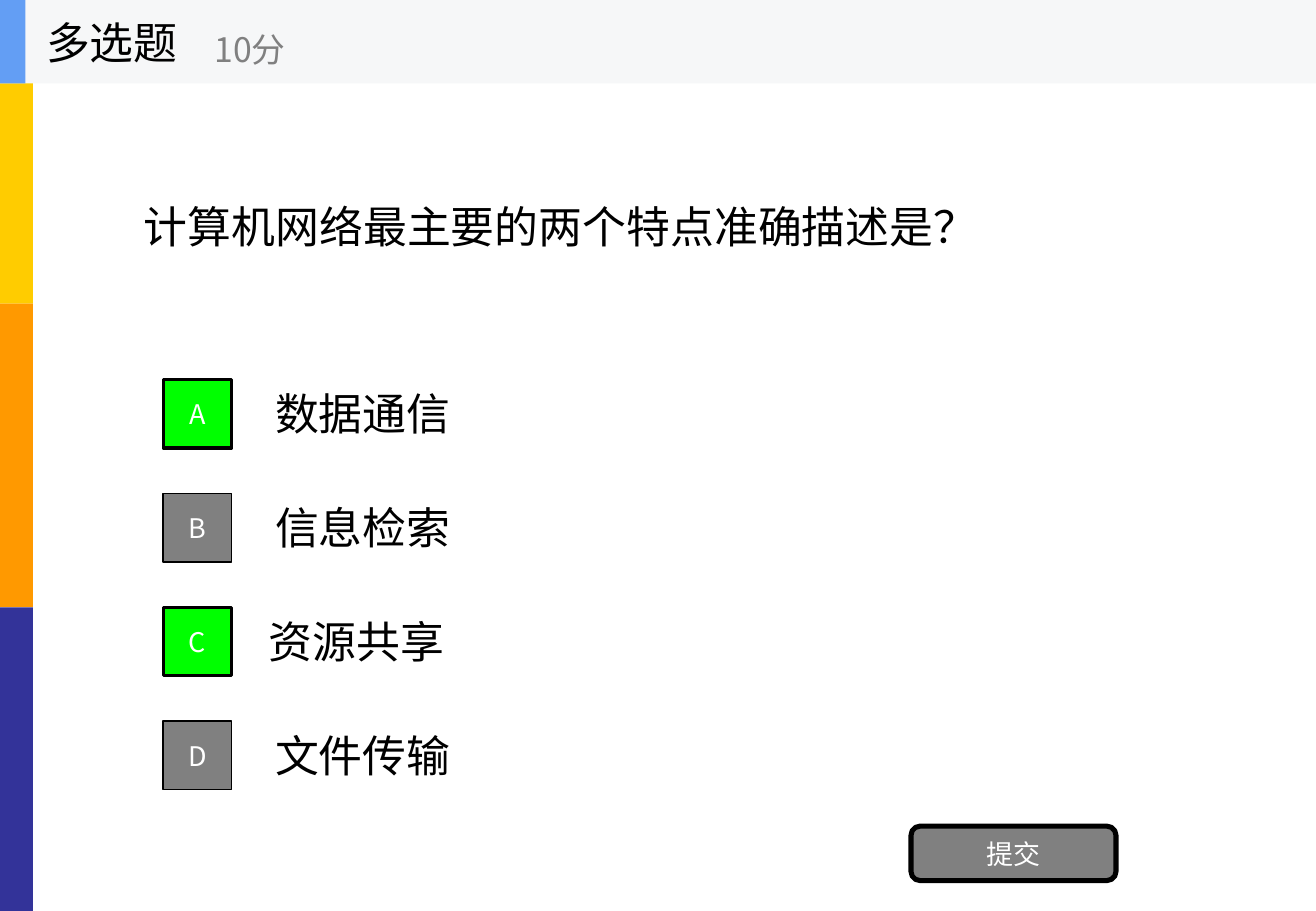
"""Build a multiple-choice question slide."""
from dataclasses import dataclass

from lxml import etree
from pptx import Presentation
from pptx import util as u
from pptx.dml.color import RGBColor
from pptx.enum import shapes, text
from pptx.oxml.ns import qn

PX = 9525
SIZE = (1040, 720)
OPTIONS = [
    ("A", "数据通信", True, 208),
    ("B", "信息检索", False, 208),
    ("C", "资源共享", True, 203),
    ("D", "文件传输", False, 208),
]


@dataclass(frozen=True)
class Theme:
    """Colours, typeface and type sizes of the slide."""
    font: str = "Noto Sans CJK SC"
    body: int = 26
    score: int = 20
    button: int = 16
    ink: str = "000000"
    paper: str = "FFFFFF"
    muted: str = "808080"
    correct: str = "00FF00"
    header: str = "F6F7F8"
    accent: str = "639EF4"
    strips: tuple = ("FFCC00", "FF9900", "333399")


THEME = Theme()


def emu(*lengths):
    """Turn px lengths into EMU."""
    return [u.Emu(length * PX) for length in lengths]


def write(holder, words, size=THEME.body, color=THEME.ink, align=text.PP_ALIGN.LEFT):
    """Put one formatted, vertically centred paragraph into a shape."""
    frame = holder.text_frame
    frame.word_wrap = True
    frame.auto_size = text.MSO_AUTO_SIZE.NONE
    frame.vertical_anchor = text.MSO_ANCHOR.MIDDLE
    paragraph = frame.paragraphs[0]
    paragraph.alignment = align
    run = paragraph.add_run()
    run.text = words
    run.font.size = u.Pt(size)
    run.font.color.rgb = RGBColor.from_string(color)
    run.font.name = THEME.font
    etree.SubElement(run.font._element, qn("a:ea"), typeface=THEME.font)


def add_label(parent, box, words, **style):
    """Add a text box."""
    write(parent.add_textbox(*emu(*box)), words, **style)


def add_block(parent, box, fill, line=0, kind=shapes.MSO_SHAPE.RECTANGLE):
    """Add a filled shape, outlined when a line width is given."""
    block = parent.add_shape(kind, *emu(*box))
    block.shadow.inherit = False
    block.fill.solid()
    block.fill.fore_color.rgb = RGBColor.from_string(fill)
    if line:
        block.line.color.rgb = RGBColor.from_string(THEME.ink)
        block.line.width = u.Pt(line)
    else:
        block.line.fill.background()
    return block


def add_button(parent, box, words, **look):
    """Add an outlined block with a centred caption."""
    write(add_block(parent, box, **look), words, size=THEME.button,
          color=THEME.paper, align=text.PP_ALIGN.CENTER)


def add_question(slide, words):
    """Place the question in the title placeholder."""
    question = slide.shapes.title
    question.left, question.top, question.width, question.height = emu(104, 66, 832, 225)
    write(question, words)


def add_option(parent, row, letter, answer, correct, left):
    """Add one answer with its letter badge."""
    top = 293 + 90 * row
    add_label(parent, (left, top, 728, 67), answer)
    add_button(parent, (129, top + 7, 54, 54), letter,
               fill=THEME.correct if correct else THEME.muted,
               line=2 if correct else 1)


def add_header(parent):
    """Add the grouped bar with question type and score."""
    header = parent.add_group_shape().shapes
    add_block(header, (0, 0, SIZE[0], 66), THEME.header)
    add_block(header, (0, 0, 20, 66), THEME.accent)
    add_label(header, (27, 0, 200, 66), "多选题")
    add_label(header, (160, 12, 240, 54), "10分", size=THEME.score, color=THEME.muted)


def main():
    """Build and save the slide."""
    deck = Presentation()
    deck.slide_width, deck.slide_height = emu(*SIZE)
    slide = deck.slides.add_slide(deck.slide_layouts[5])
    for order, color in enumerate(THEME.strips):
        add_block(slide.shapes, (0, 240 * order, 26, 240), color)
    add_question(slide, "计算机网络最主要的两个特点准确描述是？")
    for row, option in enumerate(OPTIONS):
        add_option(slide.shapes, row, *option)
    add_button(slide.shapes, (720, 653, 162, 43), "提交", fill=THEME.muted, line=3,
               kind=shapes.MSO_SHAPE.ROUNDED_RECTANGLE)
    add_header(slide.shapes)
    deck.save("out.pptx")


if __name__ == "__main__":
    main()
